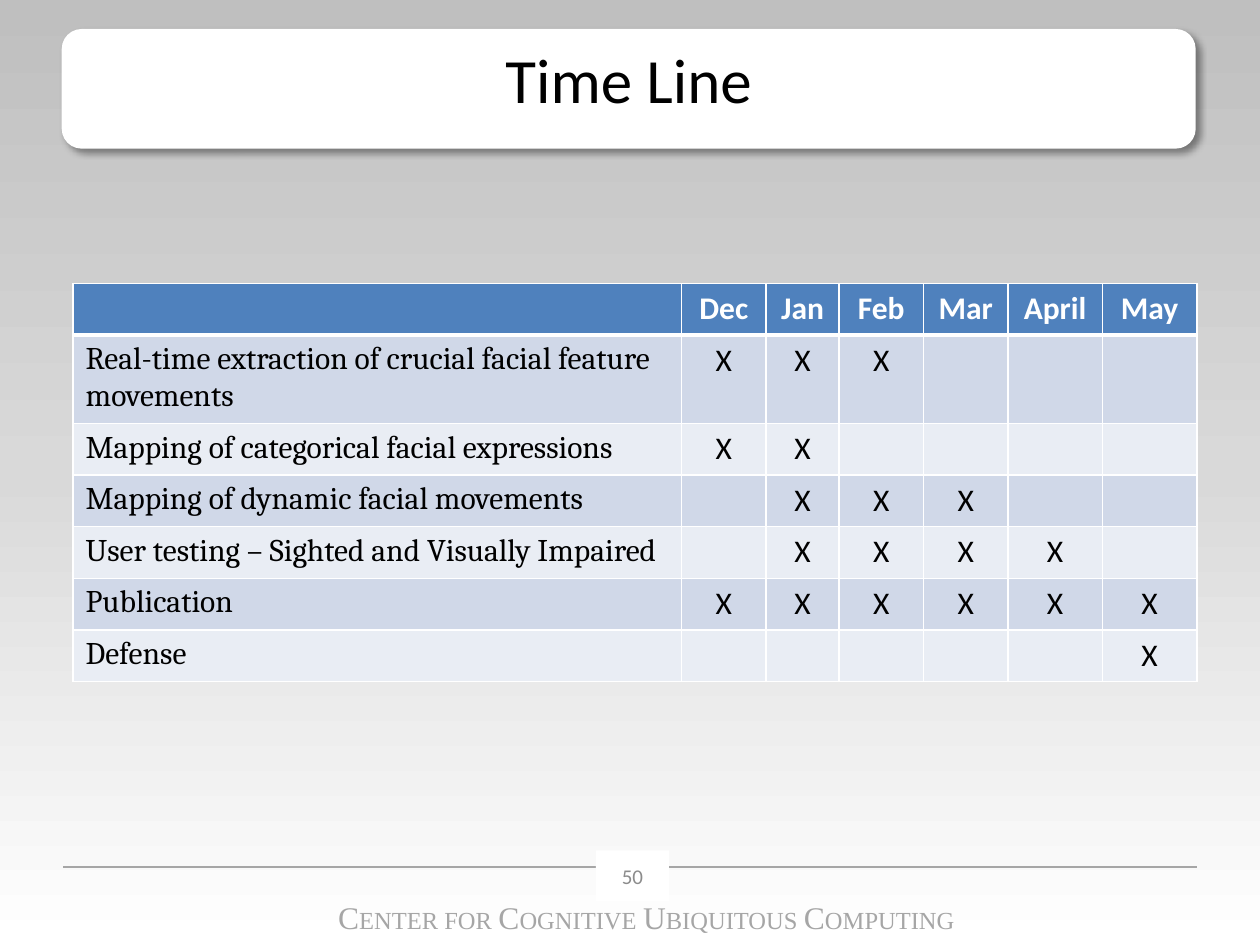
"""Build the "Time Line" slide: a project schedule table on a grey gradient."""
from copy import deepcopy
from dataclasses import dataclass

from pptx import Presentation
from pptx.dml.color import RGBColor
from pptx.enum.shapes import MSO_CONNECTOR, MSO_SHAPE
from pptx.enum.text import MSO_ANCHOR, PP_ALIGN
from pptx.oxml import parse_xml
from pptx.oxml.ns import nsdecls, qn
from pptx.util import Inches, Pt

CENTER, LEFT = PP_ALIGN.CENTER, PP_ALIGN.LEFT
TOP, MIDDLE = MSO_ANCHOR.TOP, MSO_ANCHOR.MIDDLE


@dataclass(frozen=True)
class Theme:
    black: str = "000000"
    white: str = "FFFFFF"
    grey: str = "A6A6A6"
    number_grey: str = "8C8C8C"
    header: str = "4F81BD"
    bands: tuple = ("D0D8E8", "E9EDF4")
    gradient: tuple = ((0, "BFBFBF"), (0.5, "D9D9D9"), (1, "FFFFFF"))
    sans: str = "Calibri"
    serif: str = "Cambria"
    footer_font: str = "Times New Roman"
    title_size: int = 36
    body_size: int = 18
    small_cap_size: int = 14
    number_size: int = 12


theme = Theme()


def write(paragraph, text, font=theme.sans, size=theme.body_size,
          color=theme.black, bold=False, align=CENTER):
    paragraph.alignment = align
    span = paragraph.add_run()
    span.text = text
    span.font.name = font
    span.font.size = Pt(size)
    span.font.bold = bold
    span.font.color.rgb = RGBColor.from_string(color)


deck = Presentation()
deck.slide_width, deck.slide_height = Inches(10), Inches(7.5)
page = deck.slides.add_slide(deck.slide_layouts[6])

backdrop = page.background.fill
backdrop.gradient()
backdrop.gradient_angle = 270
first_stop = page.element.find(".//" + qn("a:gs"))
first_stop.addnext(deepcopy(first_stop))
for stop, (position, color) in zip(backdrop.gradient_stops, theme.gradient):
    stop.position = position
    stop.color.rgb = RGBColor.from_string(color)

footer = page.shapes.add_textbox(Inches(2.17), Inches(7.08), Inches(5.92), Inches(0.4))
footer.text_frame.word_wrap = True
for initial, rest in (("C", "ENTER FOR "), ("C", "OGNITIVE "),
                      ("U", "BIQUITOUS "), ("C", "OMPUTING")):
    for text, size in ((initial, theme.body_size), (rest, theme.small_cap_size)):
        write(footer.text_frame.paragraphs[0], text, font=theme.footer_font,
              size=size, color=theme.grey)

rule = page.shapes.add_connector(MSO_CONNECTOR.STRAIGHT, Inches(0.5), Inches(6.88),
                                 Inches(9.5), Inches(6.88))
rule.line.color.rgb = RGBColor.from_string(theme.grey)
rule.line.width = Pt(0.75)
rule._element.spPr.append(parse_xml(f"<a:effectLst {nsdecls('a')}/>"))

panels = (
    (MSO_SHAPE.ROUNDED_RECTANGLE, (0.49, 0.23, 9, 0.95), TOP, "Time Line",
     theme.title_size, theme.black),
    (MSO_SHAPE.RECTANGLE, (4.73, 6.75, 0.58, 0.4), MIDDLE, "50",
     theme.number_size, theme.number_grey),
)
for outline, place, anchor, text, size, color in panels:
    panel = page.shapes.add_shape(outline, *map(Inches, place))
    panel.shadow.inherit = False
    panel.fill.solid()
    panel.fill.fore_color.rgb = RGBColor.from_string(theme.white)
    panel.line.fill.background()
    panel.text_frame.word_wrap = True
    panel.text_frame.vertical_anchor = anchor
    write(panel.text_frame.paragraphs[0], text, size=size, color=color)
    if outline == MSO_SHAPE.ROUNDED_RECTANGLE:
        panel._element.spPr.find(qn("a:effectLst")).append(parse_xml(
            f'<a:outerShdw {nsdecls("a")} blurRad="{Pt(4)}" dist="{Pt(3)}" '
            f'dir="2700000" algn="tl" rotWithShape="0"><a:srgbClr val="{theme.black}">'
            '<a:alpha val="40000"/></a:srgbClr></a:outerShdw>'))

months = ("Dec", "Jan", "Feb", "Mar", "April", "May")
tasks = (
    ("Real-time extraction of crucial facial feature movements", "Dec", "Feb"),
    ("Mapping of categorical facial expressions", "Dec", "Jan"),
    ("Mapping of dynamic facial movements", "Jan", "Mar"),
    ("User testing – Sighted and Visually Impaired", "Jan", "April"),
    ("Publication", "Dec", "May"),
    ("Defense", "May", "May"),
)
rows = [("", *months)]
for task, start, end in tasks:
    active = range(months.index(start), months.index(end) + 1)
    rows.append((task, *("Χ" if month in active else "" for month in range(len(months)))))

widths = (4.83, 0.67, 0.58, 0.67, 0.67, 0.75, 0.75)
schedule = page.shapes.add_table(len(rows), len(widths), Inches(0.58), Inches(2.25),
                                 Inches(8.92), Inches(0.41 * len(rows))).table
for column, width in zip(schedule.columns, widths):
    column.width = Inches(width)

for row_index, row in enumerate(rows):
    schedule.rows[row_index].height = Inches(0.41)
    is_header = row_index == 0
    fill = theme.header if is_header else theme.bands[(row_index - 1) % 2]
    borders = {"L": 1, "R": 1, "T": 3 if row_index == 1 else 1, "B": 3 if is_header else 1}
    for column_index, text in enumerate(row):
        cell = schedule.cell(row_index, column_index)
        properties = cell._tc.get_or_add_tcPr()
        for side, width in borders.items():
            properties.append(parse_xml(
                f'<a:ln{side} {nsdecls("a")} w="{Pt(width)}"><a:solidFill>'
                f'<a:srgbClr val="{theme.white}"/></a:solidFill></a:ln{side}>'))
        cell.fill.solid()
        cell.fill.fore_color.rgb = RGBColor.from_string(fill)
        if text:
            is_task = column_index == 0
            write(cell.text_frame.paragraphs[0], text,
                  font=theme.serif if is_task else theme.sans,
                  color=theme.white if is_header else theme.black,
                  bold=is_header, align=LEFT if is_task else CENTER)

deck.save("out.pptx")
